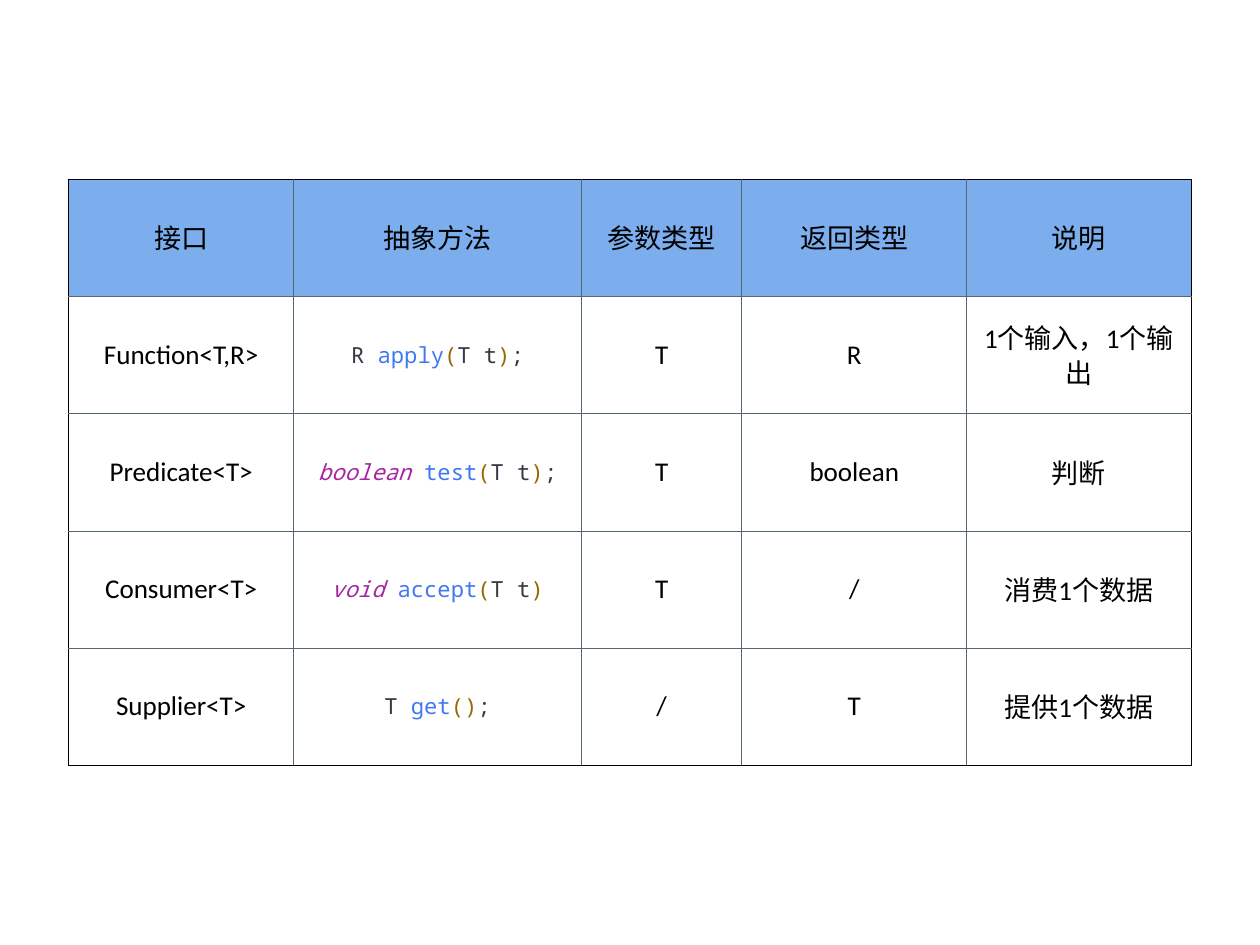
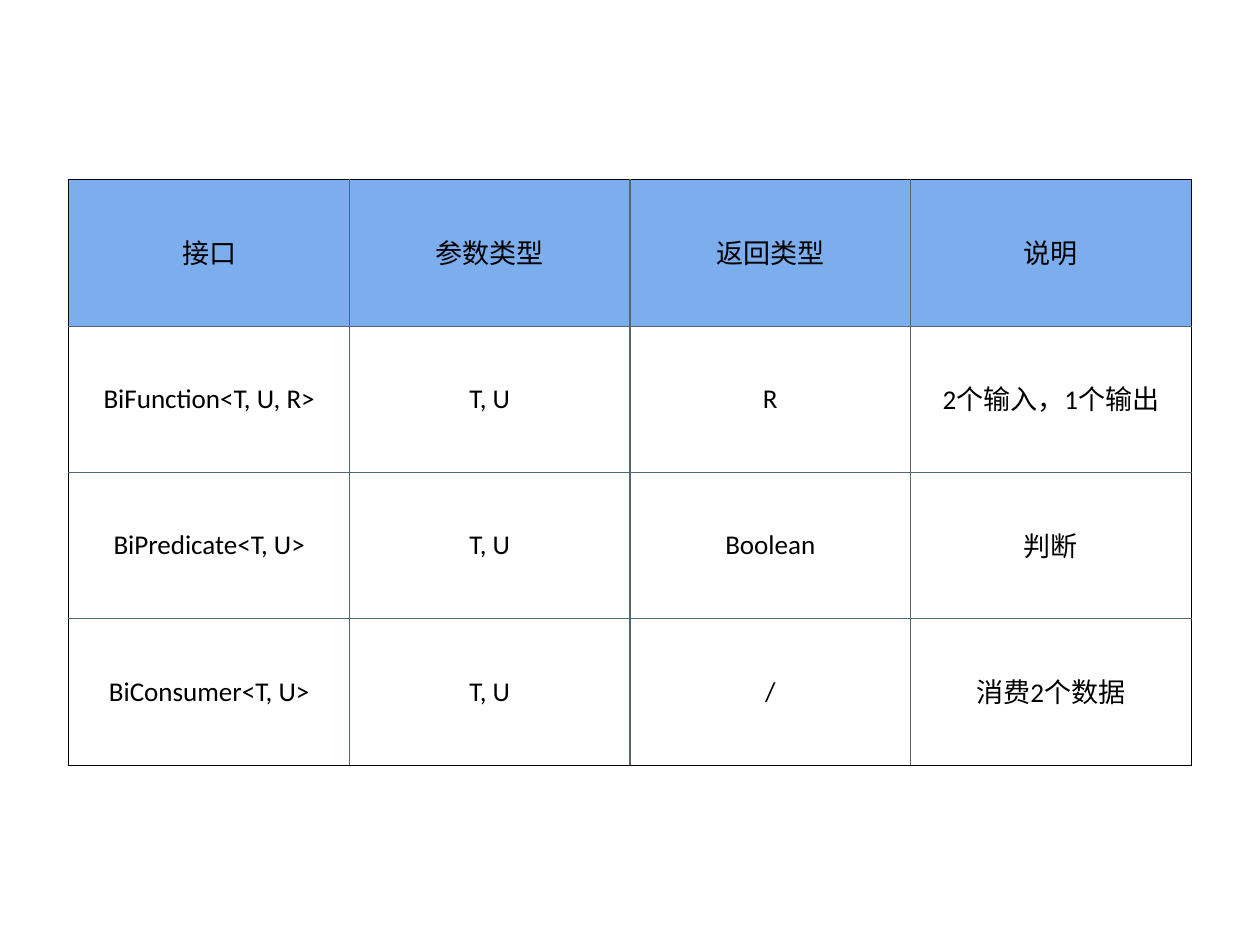
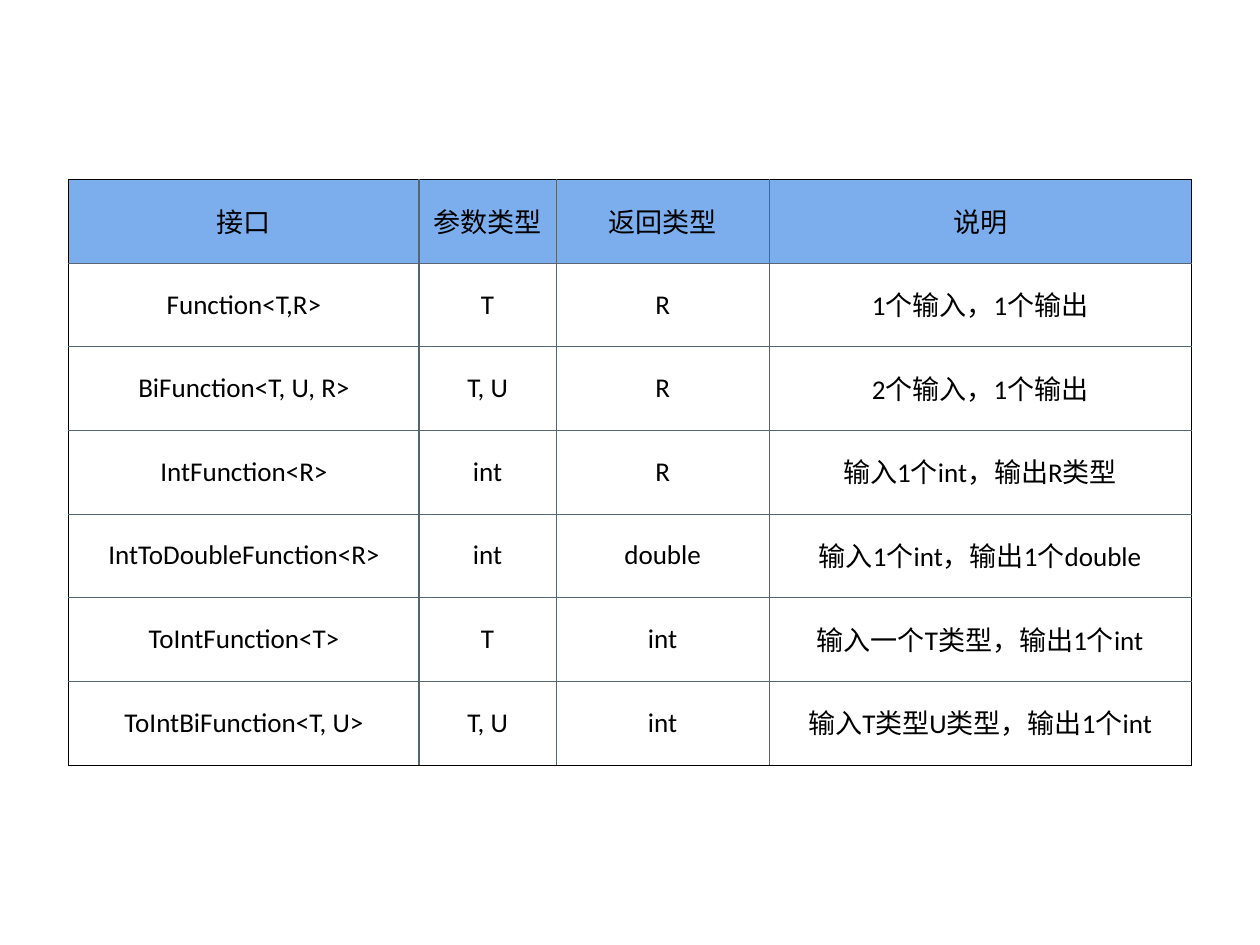
"""Builds three slides of tables on functional interfaces."""
from lxml import etree
from pptx import Presentation
from pptx.dml.color import RGBColor
from pptx.enum.text import MSO_ANCHOR, PP_ALIGN
from pptx.oxml.ns import qn
from pptx.util import Pt

CENTER = PP_ALIGN.CENTER
MIDDLE = MSO_ANCHOR.MIDDLE

SLIDE_WIDTH, SLIDE_HEIGHT = 1024, 768
TABLE_WIDTH, TABLE_HEIGHT = 912, 476
CELL_MARGIN = 4.5
TEXT_FONT, TEXT_SIZE = "Calibri", 22
CODE_FONT, CODE_SIZE = "Noto Sans Mono", 18

BLACK = "000000"
HEADER_FILL = "7CADED"
HEADER_RULE = "576672"
GRID = "536773"
CODE_PLAIN = "373A42"
CODE_KEYWORD = "A626A4"
CODE_NAME = "4078F2"
CODE_BRACKET = "986802"


def rgb(value):
    """Turn a hex string into a colour."""
    return RGBColor.from_string(value)


def method(returns, name, parameters="", ending=";", returns_color=CODE_PLAIN):
    """Split a method signature into coloured pieces of code."""
    brackets = [("(", CODE_BRACKET), (parameters, CODE_PLAIN), (")", CODE_BRACKET)]
    pieces = [(returns + " ", returns_color), (name, CODE_NAME)]
    pieces += brackets if parameters else [("()", CODE_BRACKET)]
    return pieces + ([(ending, CODE_PLAIN)] if ending else [])


def add_run(paragraph, text, font_name, size, color):
    """Add one formatted run, with keywords in italics."""
    run = paragraph.add_run()
    run.text = text
    run.font.name = font_name
    run.font.size = Pt(size)
    run.font.bold = False
    run.font.italic = color == CODE_KEYWORD
    run.font.color.rgb = rgb(color)


def set_borders(cell, colors):
    """Draw the left, right, top and bottom borders of a cell."""
    properties = cell._tc.get_or_add_tcPr()
    for side, color in zip("LRTB", colors):
        line = etree.SubElement(properties, qn(f"a:ln{side}"), w=str(Pt(1)))
        fill = etree.SubElement(line, qn("a:solidFill"))
        etree.SubElement(fill, qn("a:srgbClr"), val=color)


def fill_cell(cell, content, is_header):
    """Put plain text or coloured code into a cell."""
    cell.margin_left = cell.margin_right = Pt(CELL_MARGIN)
    cell.margin_top = cell.margin_bottom = Pt(CELL_MARGIN)
    cell.vertical_anchor = MIDDLE
    if is_header:
        cell.fill.solid()
        cell.fill.fore_color.rgb = rgb(HEADER_FILL)
    else:
        cell.fill.background()
    paragraph = cell.text_frame.paragraphs[0]
    paragraph.alignment = CENTER
    paragraph.line_spacing = 0.9
    if isinstance(content, str):
        add_run(paragraph, content, TEXT_FONT, TEXT_SIZE, BLACK)
    else:
        for text, color in content:
            add_run(paragraph, text, CODE_FONT, CODE_SIZE, color)


def add_interface_slide(deck, widths, rows):
    """Add a slide with one centred table whose first row is the header."""
    slide = deck.slides.add_slide(deck.slide_layouts[6])
    last_row, last_column = len(rows) - 1, len(widths) - 1
    table = slide.shapes.add_table(
        len(rows), len(widths),
        Pt((SLIDE_WIDTH - TABLE_WIDTH) / 2), Pt((SLIDE_HEIGHT - TABLE_HEIGHT) / 2),
        Pt(TABLE_WIDTH), Pt(TABLE_HEIGHT)).table
    table.horz_banding = False
    for column, width in zip(table.columns, widths):
        column.width = Pt(width)
    for row_index, contents in enumerate(rows):
        table.rows[row_index].height = Pt(TABLE_HEIGHT / len(rows))
        top = {0: BLACK, 1: HEADER_RULE}.get(row_index, GRID)
        bottom = {0: HEADER_RULE, last_row: BLACK}.get(row_index, GRID)
        for column_index, content in enumerate(contents):
            cell = table.cell(row_index, column_index)
            left = BLACK if column_index == 0 else GRID
            right = BLACK if column_index == last_column else GRID
            set_borders(cell, (left, right, top, bottom))
            fill_cell(cell, content, row_index == 0)


def main():
    """Build and save the deck."""
    deck = Presentation()
    deck.slide_width, deck.slide_height = Pt(SLIDE_WIDTH), Pt(SLIDE_HEIGHT)
    header = ["接口", "参数类型", "返回类型", "说明"]
    add_interface_slide(deck, [182.5, 234, 130.5, 182.5, 182.5], [
        [header[0], "抽象方法", *header[1:]],
        ["Function<T,R>", method("R", "apply", "T t"), "T", "R", "1个输入，1个输出"],
        ["Predicate<T>", method("boolean", "test", "T t", returns_color=CODE_KEYWORD),
         "T", "boolean", "判断"],
        ["Consumer<T>", method("void", "accept", "T t", "", CODE_KEYWORD),
         "T", "/", "消费1个数据"],
        ["Supplier<T>", method("T", "get"), "/", "T", "提供1个数据"],
    ])
    add_interface_slide(deck, [TABLE_WIDTH / len(header)] * len(header), [
        header,
        ["BiFunction<T, U, R>", "T, U", "R", "2个输入，1个输出"],
        ["BiPredicate<T, U>", "T, U", "Boolean", "判断"],
        ["BiConsumer<T, U>", "T, U", "/", "消费2个数据"],
    ])
    add_interface_slide(deck, [284.5, 111.5, 173, 343], [
        header,
        ["Function<T,R>", "T", "R", "1个输入，1个输出"],
        ["BiFunction<T, U, R>", "T, U", "R", "2个输入，1个输出"],
        ["IntFunction<R>", "int", "R", "输入1个int，输出R类型"],
        ["IntToDoubleFunction<R>", "int", "double", "输入1个int，输出1个double"],
        ["ToIntFunction<T>", "T", "int", "输入一个T类型，输出1个int"],
        ["ToIntBiFunction<T, U>", "T, U", "int", "输入T类型U类型，输出1个int"],
    ])
    deck.save("out.pptx")


if __name__ == "__main__":
    main()
